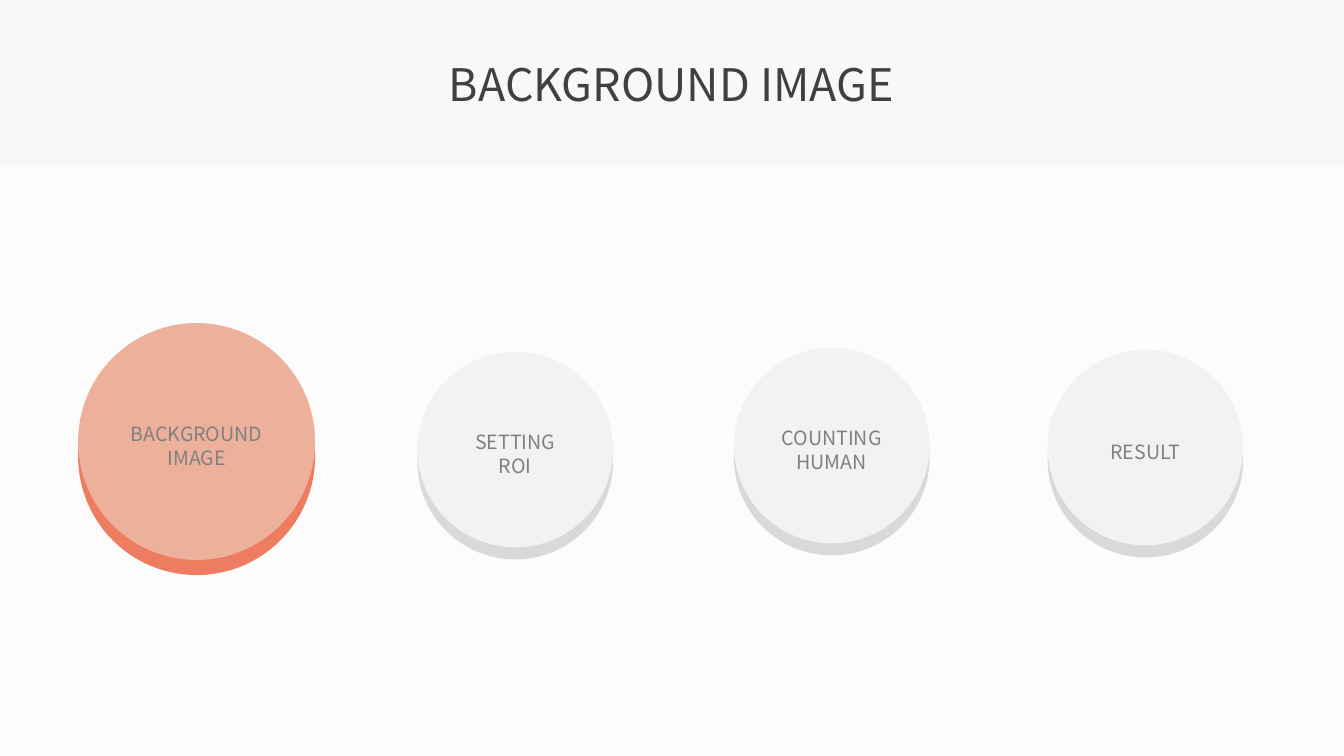
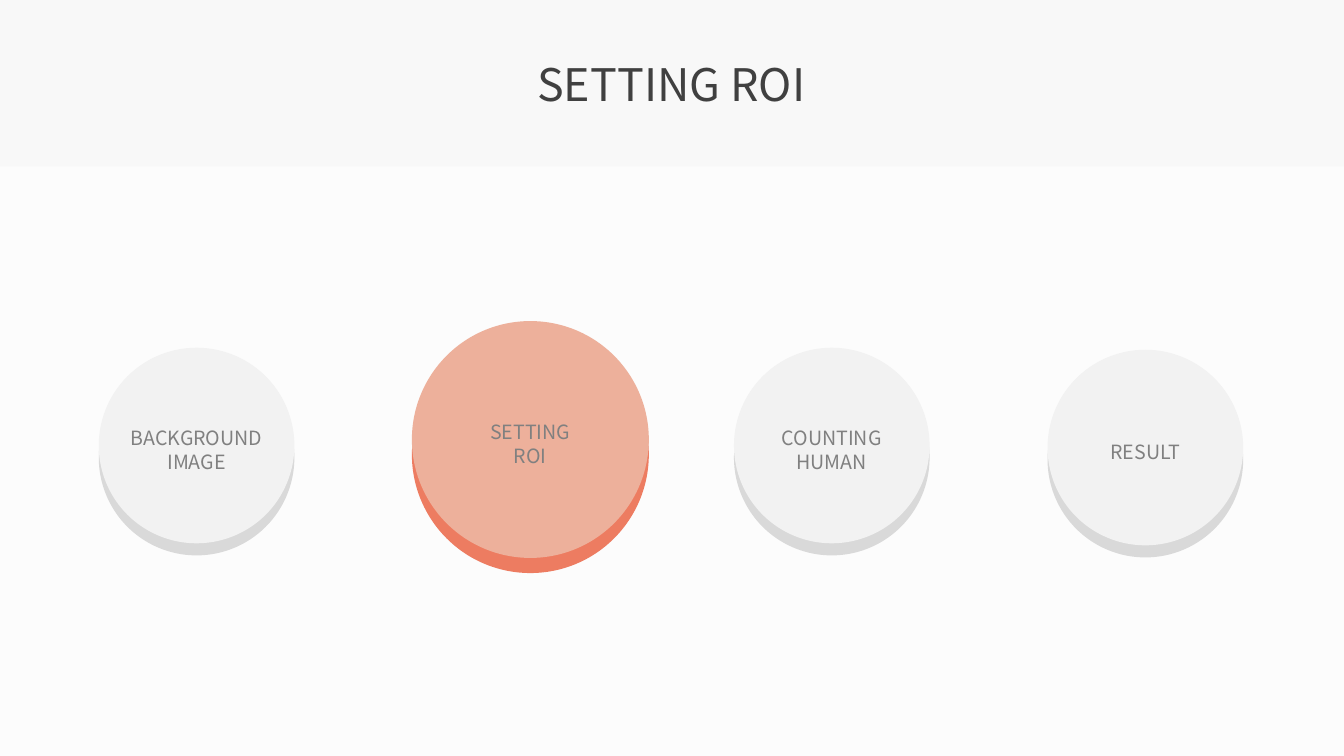
"""Build two step slides that each highlight one stage of a people-counting pipeline."""
from dataclasses import dataclass

from pptx import Presentation
from pptx.dml.color import RGBColor
from pptx.enum.shapes import MSO_SHAPE
from pptx.enum.text import MSO_ANCHOR, MSO_AUTO_SIZE, PP_ALIGN
from pptx.util import Inches, Pt

RECTANGLE = MSO_SHAPE.RECTANGLE
OVAL = MSO_SHAPE.OVAL
CENTER = PP_ALIGN.CENTER
MIDDLE = MSO_ANCHOR.MIDDLE
NO_AUTOFIT = MSO_AUTO_SIZE.NONE


@dataclass(frozen=True)
class Theme:
    """Colours, type and button sizes shared by the slides."""
    font: str = "Noto Sans CJK KR"
    title_size: int = 32
    label_size: int = 14
    title_color: str = "404040"
    label_color: str = "808080"
    header: str = "F8F8F8"
    body: str = "FCFCFC"


@dataclass(frozen=True)
class ButtonStyle:
    """Diameter, rim depth and colours of a round button."""
    diameter: float
    depth: float
    face: str
    rim: str


THEME = Theme()
RESTING = ButtonStyle(1.94, 0.12, "F2F2F2", "D9D9D9")
ACTIVE = ButtonStyle(2.35, 0.15, "EDB09B", "ED7C61")

SLIDE_WIDTH, SLIDE_HEIGHT = 13.33, 7.5
HEADER_HEIGHT = 1.65
TITLE_BOX = (1.91, 0.56, 9.5, 0.61)
LABEL_DROP = 0.04

STEPS = [
    (["BACKGROUND", "IMAGE"], (1.95, 4.42)),
    (["SETTING", "ROI"], (5.11, 4.46)),
    (["COUNTING", "HUMAN"], (8.25, 4.42)),
    (["RESULT"], (11.36, 4.44)),
]
SLIDES = [
    {"active": 0, "center": (1.95, 4.38)},
    {"active": 1, "center": (5.26, 4.36)},
]


def place(shape, box):
    """Move and size a shape in inches."""
    shape.left, shape.top, shape.width, shape.height = map(Inches, box)


def write_text(shape, lines, *, size, color, line_spacing=1.0):
    """Write centred lines into a shape."""
    frame = shape.text_frame
    frame.word_wrap = True
    frame.auto_size = NO_AUTOFIT
    frame.vertical_anchor = MIDDLE
    frame.text = "\n".join(lines)
    for paragraph in frame.paragraphs:
        paragraph.alignment = CENTER
        paragraph.line_spacing = line_spacing
        paragraph.font.name = THEME.font
        paragraph.font.size = Pt(size)
        paragraph.font.color.rgb = RGBColor.from_string(color)


def add_filled(shapes, kind, box, color):
    """Add a flat shape without outline or shadow."""
    shape = shapes.add_shape(kind, *map(Inches, box))
    shape.shadow.inherit = False
    shape.fill.solid()
    shape.fill.fore_color.rgb = RGBColor.from_string(color)
    shape.line.fill.background()
    return shape


def add_button(slide, lines, center, style):
    """Add a grouped round button with a rim below its face."""
    size = style.diameter
    left, top = (middle - size / 2 for middle in center)
    shapes = slide.shapes.add_group_shape().shapes
    add_filled(shapes, OVAL, (left, top + style.depth, size, size), style.rim)
    add_filled(shapes, OVAL, (left, top, size, size), style.face)
    label = shapes.add_textbox(*map(Inches, (left, top + LABEL_DROP, size, size)))
    write_text(label, lines, size=THEME.label_size, color=THEME.label_color)


def share_backdrop(presentation, layout, slide):
    """Set the header colour on the master and move a body panel into the layout."""
    fill = presentation.slide_master.background.fill
    fill.solid()
    fill.fore_color.rgb = RGBColor.from_string(THEME.header)
    box = (0, HEADER_HEIGHT, SLIDE_WIDTH, SLIDE_HEIGHT - HEADER_HEIGHT)
    panel = add_filled(slide.shapes, RECTANGLE, box, THEME.body)
    layout.shapes.element.insert(2, panel.element)


def fill_slide(slide, active, center):
    """Write the title and draw every step, with the active one enlarged."""
    title = slide.shapes.title
    place(title, TITLE_BOX)
    write_text(title, [" ".join(STEPS[active][0])], size=THEME.title_size,
               color=THEME.title_color, line_spacing=0.9)
    for index, (lines, resting_center) in enumerate(STEPS):
        if index == active:
            add_button(slide, lines, center, ACTIVE)
        else:
            add_button(slide, lines, resting_center, RESTING)


def main():
    """Build and save the presentation."""
    presentation = Presentation()
    presentation.slide_width = Inches(SLIDE_WIDTH)
    presentation.slide_height = Inches(SLIDE_HEIGHT)
    layout = presentation.slide_layouts.get_by_name("Title Only")
    slides = [presentation.slides.add_slide(layout) for _ in SLIDES]
    share_backdrop(presentation, layout, slides[0])
    for slide, content in zip(slides, SLIDES):
        fill_slide(slide, **content)
    presentation.save("out.pptx")


if __name__ == "__main__":
    main()
